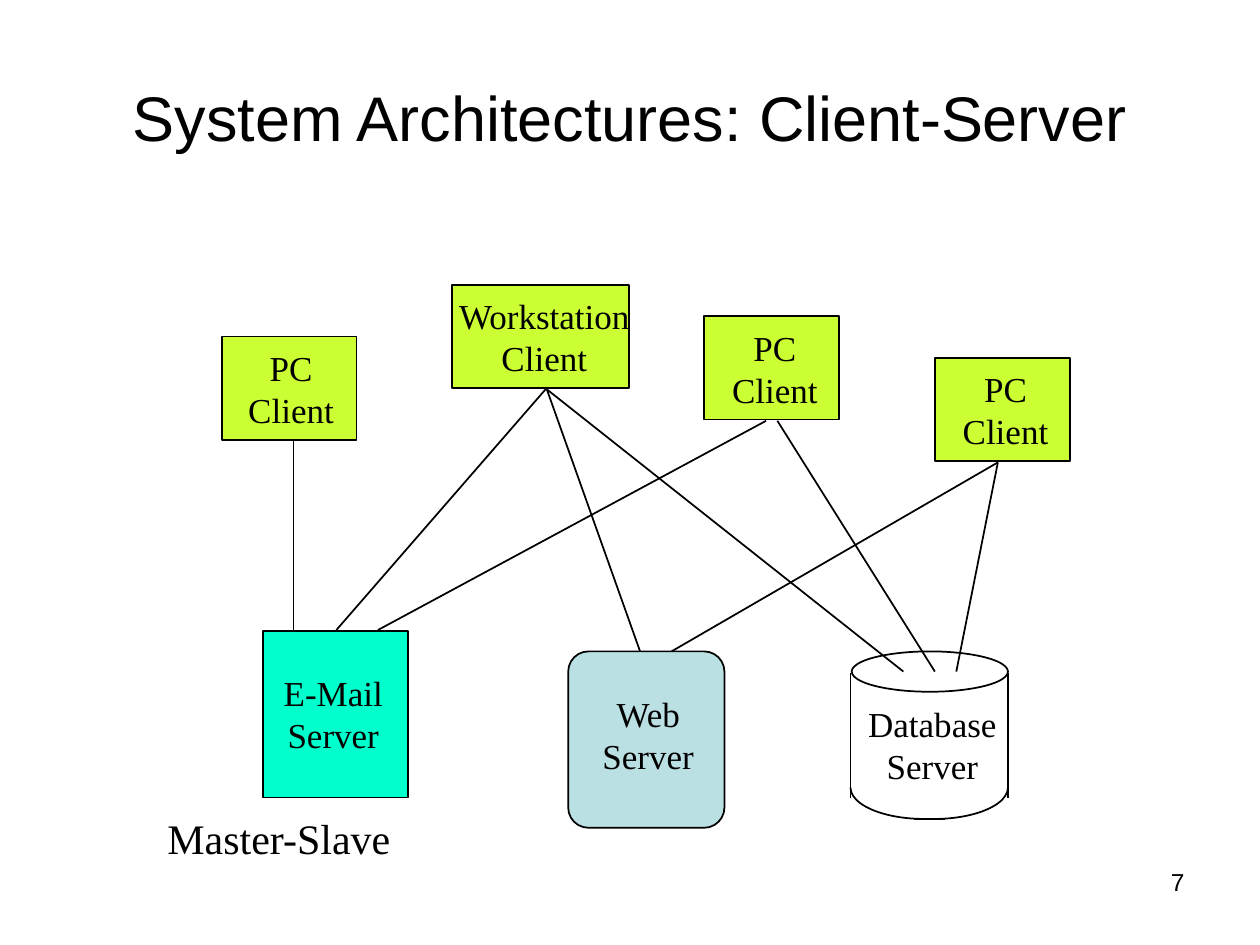
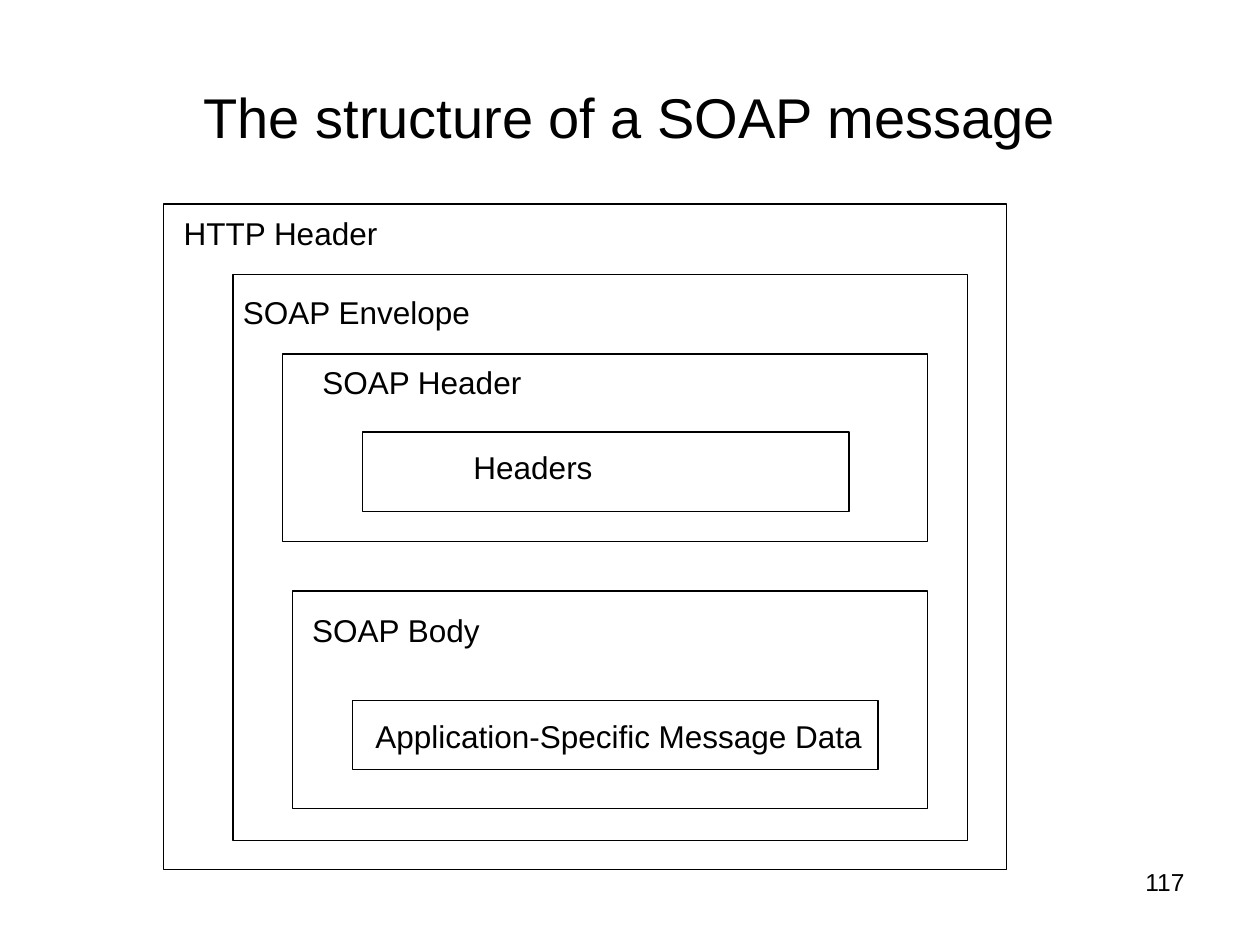
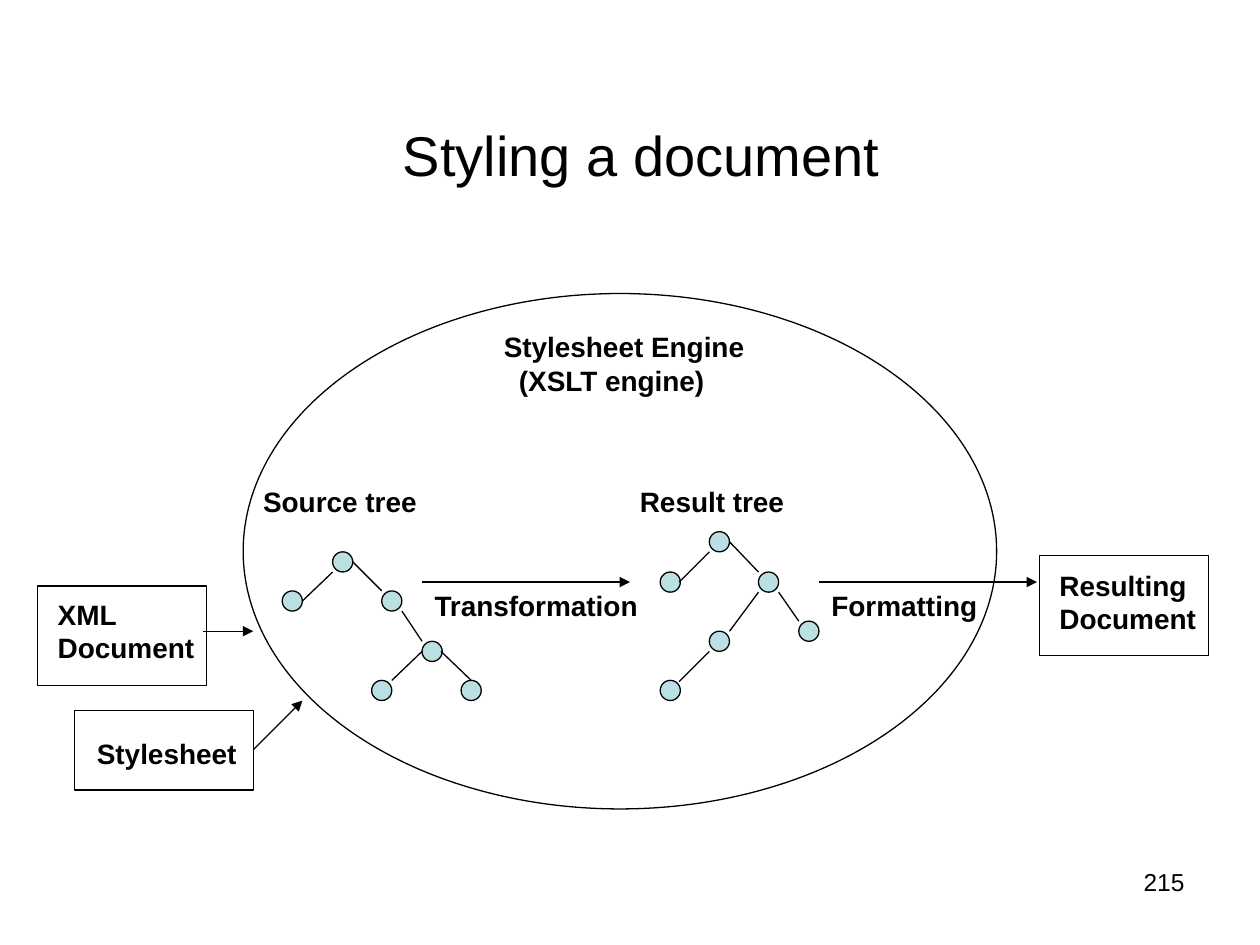
from pptx import Presentation
from pptx.dml.color import RGBColor
from pptx.enum.shapes import MSO_CONNECTOR, MSO_SHAPE
from pptx.enum.text import MSO_ANCHOR, MSO_AUTO_SIZE, PP_ALIGN
from pptx.oxml.ns import qn
from pptx.util import Inches, Pt
from lxml import etree

RECT, ROUNDED = MSO_SHAPE.RECTANGLE, MSO_SHAPE.ROUNDED_RECTANGLE
OVAL, ARC = MSO_SHAPE.OVAL, MSO_SHAPE.ARC
STRAIGHT = MSO_CONNECTOR.STRAIGHT
LEFT, CENTER, RIGHT = PP_ALIGN.LEFT, PP_ALIGN.CENTER, PP_ALIGN.RIGHT
MIDDLE = MSO_ANCHOR.MIDDLE
FIT_SHAPE, NO_FIT = MSO_AUTO_SIZE.SHAPE_TO_FIT_TEXT, MSO_AUTO_SIZE.NONE

COLORS = {
    "ink": "000000",
    "client": "CCFF33",
    "mail": "00FFCC",
    "pale": "BBE0E3",
}
SANS, SERIF = "Arial", "Times New Roman"
TITLE_ONLY = 5
TITLE_AT = (0.5, 0.3, 9, 1.25)
NUMBER_AT = (7.17, 6.83, 2.33, 0.52)
NODE_SIZE = 0.16


def color(name):
    return RGBColor.from_string(COLORS[name])


def lengths(values):
    return [Inches(value) for value in values]


def write(frame, text, size=18, font=SANS, bold=False, align=LEFT):
    frame.text = text
    for paragraph in frame.paragraphs:
        paragraph.alignment = align
        paragraph.font.size = Pt(size)
        paragraph.font.name = font
        paragraph.font.bold = bold
        paragraph.font.color.rgb = color("ink")


class Deck:
    def __init__(self):
        self.presentation = Presentation()
        self.presentation.slide_width = Inches(10)
        self.presentation.slide_height = Inches(7.5)
        self.slide = None
        self.weight = 0.75

    def start(self, title, number, size=32, at=TITLE_AT, weight=0.75):
        layout = self.presentation.slide_layouts[TITLE_ONLY]
        self.slide = self.presentation.slides.add_slide(layout)
        self.weight = weight
        heading = self.slide.shapes.title
        heading.left, heading.top, heading.width, heading.height = lengths(at)
        heading.text_frame.vertical_anchor = MIDDLE
        heading.text_frame.auto_size = NO_FIT
        write(heading.text_frame, title, size=size, align=CENTER)
        self.label(number, NUMBER_AT, grow=False, size=14, align=RIGHT)

    def label(self, text, at, wrap=True, grow=True, **style):
        frame = self.slide.shapes.add_textbox(*lengths(at)).text_frame
        frame.word_wrap = wrap
        frame.auto_size = FIT_SHAPE if grow else NO_FIT
        write(frame, text, **style)
        return frame

    def outline(self, kind, at, fill=None, adjustments=()):
        shape = self.slide.shapes.add_shape(kind, *lengths(at))
        shape.shadow.inherit = False
        for index, value in enumerate(adjustments):
            shape.adjustments[index] = value
        if fill:
            shape.fill.solid()
            shape.fill.fore_color.rgb = color(fill)
        else:
            shape.fill.background()
        shape.line.color.rgb = color("ink")
        shape.line.width = Pt(self.weight)

    def line(self, start, end, arrow=False):
        link = self.slide.shapes.add_connector(STRAIGHT, *lengths((*start, *end)))
        link.line.color.rgb = color("ink")
        link.line.width = Pt(self.weight)
        properties = link._element.spPr
        if arrow:
            etree.SubElement(properties.find(qn("a:ln")), qn("a:tailEnd"), type="triangle")
        etree.SubElement(properties, qn("a:effectLst"))

    def tree(self, nodes, branches):
        for left, top in nodes:
            self.outline(OVAL, (left, top, NODE_SIZE, NODE_SIZE), fill="pale")
        for start, end in branches:
            self.line(start, end)

    def save(self):
        self.presentation.save("out.pptx")


def client_server(deck):
    deck.start("System Architectures: Client-Server", "7", size=36, weight=1)
    serif = {"size": 20, "font": SERIF, "align": CENTER, "wrap": False}

    deck.outline(RECT, (2.09, 5.01, 1.15, 1.32), fill="mail")
    deck.outline(ROUNDED, (4.51, 5.17, 1.24, 1.4), fill="pale", adjustments=[0.13])

    deck.outline(OVAL, (6.76, 5.17, 1.24, 0.32))
    for side in (6.75, 8):
        deck.line((side, 5.34), (side, 6.33))
    for left, angles in ((6.83, (0, 54)), (6.75, (54, 108))):
        deck.outline(ARC, (left, 6, 1.17, 0.5), adjustments=angles)
    deck.line((7.25, 6.5), (7.5, 6.5))

    for server, left, top, width in (
        ("E-Mail", 2.15, 5.28, 0.99),
        ("Web", 4.68, 5.45, 0.93),
        ("Database", 6.79, 5.53, 1.22),
    ):
        deck.label(f"{server}\nServer", (left, top, width, 0.77), **serif)

    for client, left, top, width, label_left, label_width in (
        ("PC", 1.76, 2.67, 1.07, 1.87, 0.88),
        ("PC", 5.59, 2.51, 1.07, 5.71, 0.88),
        ("PC", 7.42, 2.84, 1.07, 7.54, 0.88),
        ("Workstation", 3.59, 2.26, 1.4, 3.53, 1.58),
    ):
        deck.outline(RECT, (left, top, width, 0.82), fill="client")
        deck.label(f"{client}\nClient", (label_left, top + 0.03, label_width, 0.77), **serif)

    for client_end, server_end in (
        ((4.34, 3.09), (5.08, 5.17)),
        ((4.34, 3.09), (7.17, 5.33)),
        ((4.33, 3.09), (2.67, 5)),
        ((2.33, 3.5), (2.33, 5)),
        ((6.08, 3.34), (3, 5)),
        ((6.17, 3.34), (7.42, 5.33)),
        ((7.92, 3.67), (5.33, 5.17)),
        ((7.92, 3.67), (7.59, 5.33)),
    ):
        deck.line(client_end, server_end)
    deck.label("Master-Slave", (1.23, 6.4, 2.05, 0.5), size=24, font=SERIF)


def soap_message(deck):
    deck.start("The structure of a SOAP message", "117")
    for part, box, label_left, label_top, label_width in (
        ("HTTP Header", (1.3, 1.62, 6.69, 5.28), 1.36, 1.65, 1.8),
        ("SOAP Envelope", (1.85, 2.18, 5.83, 4.49), 1.83, 2.28, 2.05),
        ("SOAP Header", (2.24, 2.81, 5.12, 1.49), 2.46, 2.83, 1.85),
        ("Headers", (2.88, 3.43, 3.86, 0.63), 3.66, 3.51, 1.2),
        ("SOAP Body", (2.32, 4.69, 5.04, 1.73), 2.38, 4.8, 1.6),
        ("Application-Specific Message Data", (2.8, 5.56, 4.17, 0.55), 2.88, 5.64, 4.12),
    ):
        deck.outline(RECT, box)
        deck.label(part, (label_left, label_top, label_width, 0.4))


def styling(deck):
    deck.start("Styling a document", "215", at=(0.59, 0.6, 9, 1.25))
    bold = {"size": 16, "bold": True}

    deck.outline(OVAL, (1.93, 2.33, 5.98, 4.09))
    for box in ((0.3, 4.65, 1.34, 0.79), (0.59, 5.64, 1.42, 0.63), (8.25, 4.41, 1.34, 0.79)):
        deck.outline(RECT, box)

    source_nodes = [(2.64, 4.38), (2.24, 4.69), (3.03, 4.69),
                    (3.35, 5.09), (2.95, 5.4), (3.66, 5.4)]
    source_branches = [
        ((2.64, 4.54), (2.4, 4.77)),
        ((2.8, 4.46), (3.03, 4.69)),
        ((3.19, 4.85), (3.35, 5.09)),
        ((3.35, 5.17), (3.11, 5.4)),
        ((3.5, 5.17), (3.74, 5.4)),
    ]
    result_nodes = [(5.63, 4.22), (5.24, 4.54), (6.02, 4.54),
                    (6.34, 4.93), (5.63, 5.01), (5.24, 5.4)]
    result_branches = [
        ((5.63, 4.38), (5.39, 4.62)),
        ((5.79, 4.3), (6.02, 4.54)),
        ((6.18, 4.7), (6.34, 4.93)),
        ((5.63, 5.17), (5.39, 5.41)),
        ((6.02, 4.7), (5.79, 5.01)),
    ]
    deck.tree(source_nodes, source_branches)
    deck.tree(result_nodes, result_branches)

    for text, at in (
        ("XML\nDocument", (0.36, 4.69, 1.35, 0.64)),
        ("Stylesheet", (0.67, 5.8, 1.35, 0.37)),
        ("Source tree", (1.99, 3.8, 1.5, 0.37)),
        ("Result tree", (4.98, 3.8, 1.42, 0.37)),
        ("Transformation", (3.35, 4.62, 1.85, 0.37)),
        ("Formatting", (6.5, 4.62, 1.42, 0.37)),
        ("Resulting\nDocument", (8.31, 4.46, 1.35, 0.64)),
    ):
        deck.label(text, at, **bold)

    engine = deck.label("Stylesheet Engine\n(XSLT engine)", (3.9, 2.57, 2.23, 0.64), **bold)
    engine_detail = engine.paragraphs[1]._p.get_or_add_pPr()
    engine_detail.set("marL", str(Inches(0.12)))
    engine_detail.set("indent", "0")

    for start, end in (
        ((3.35, 4.62), (5, 4.62)),
        ((6.5, 4.62), (8.23, 4.62)),
        ((1.61, 5.01), (2.01, 5.01)),
        ((2.01, 5.95), (2.4, 5.56)),
    ):
        deck.line(start, end, arrow=True)


def main():
    deck = Deck()
    client_server(deck)
    soap_message(deck)
    styling(deck)
    deck.save()


if __name__ == "__main__":
    main()
